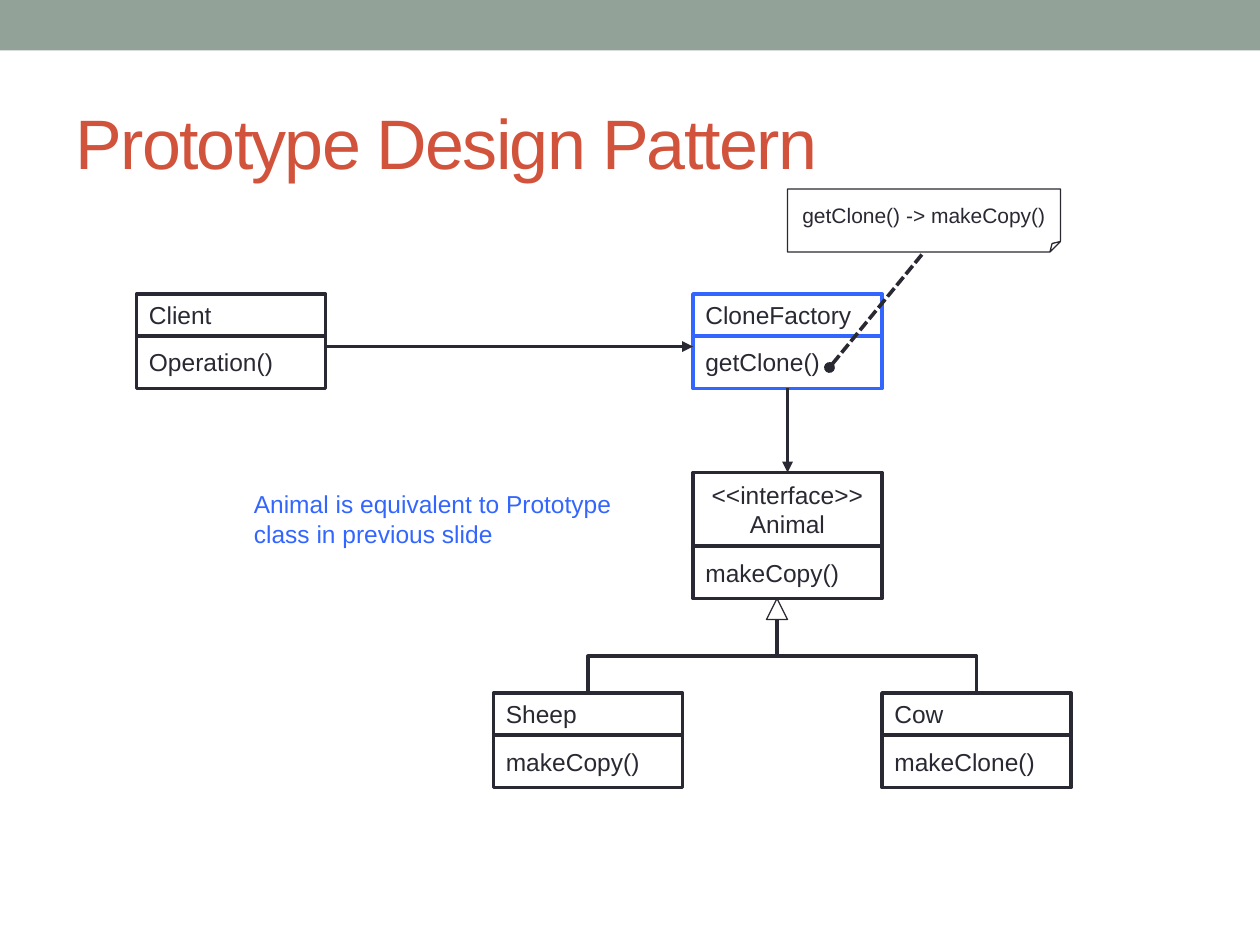
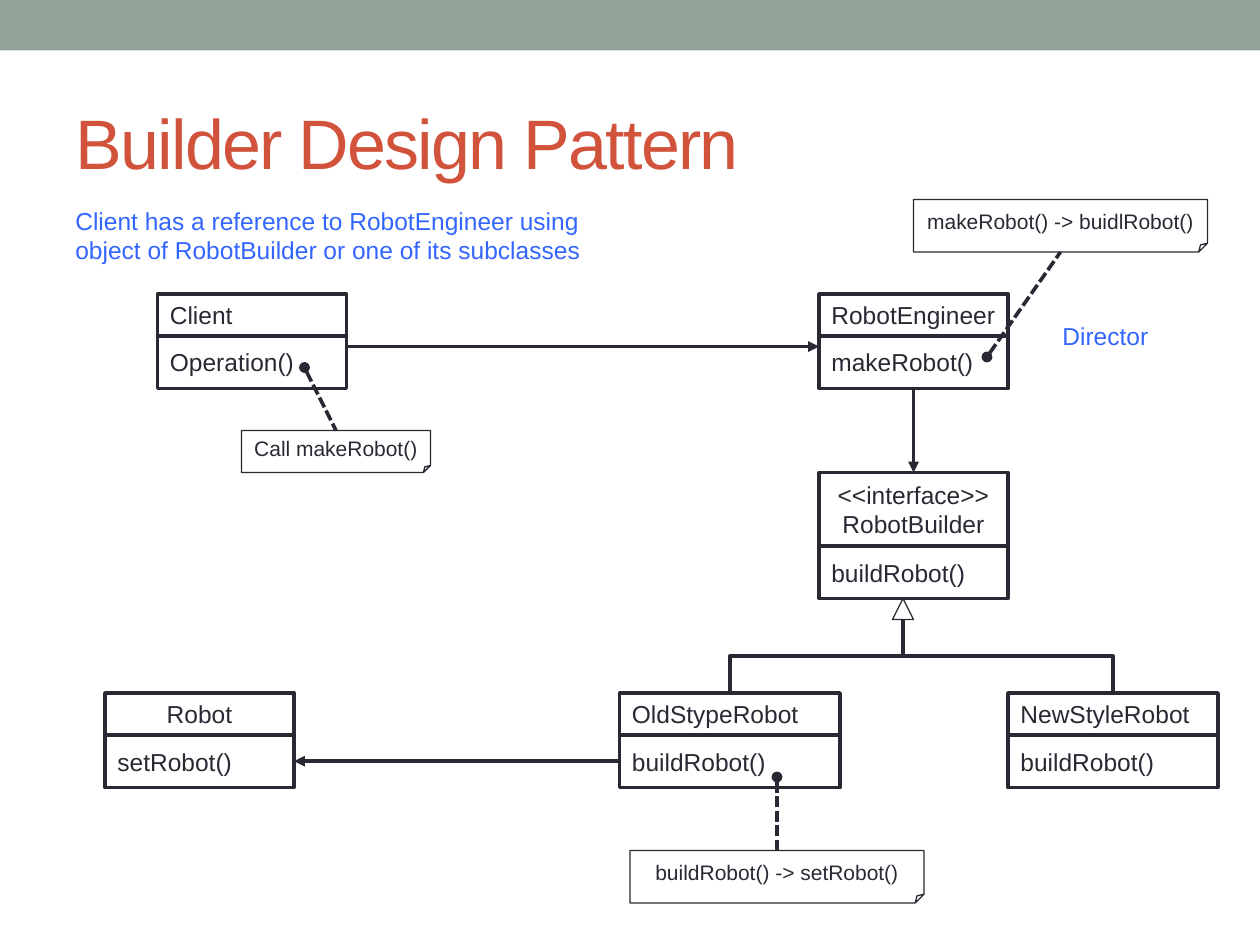
from dataclasses import dataclass
from typing import Optional

from lxml.etree import SubElement
from pptx import Presentation
from pptx.dml.color import RGBColor
from pptx.enum.dml import MSO_LINE
from pptx.enum.shapes import MSO_CONNECTOR, MSO_SHAPE
from pptx.enum.text import MSO_ANCHOR, MSO_AUTO_SIZE, PP_ALIGN
from pptx.oxml.ns import qn
from pptx.util import Inches, Pt

COLUMNS, ROWS = 120, 90
CELLS_PER_INCH = 12


@dataclass(frozen=True)
class Theme:
    font: str = "Arial"
    ink: str = "292934"
    accent: str = "3366FF"
    title: str = "D2533C"
    band: str = "93A299"
    paper: str = "FFFFFF"
    title_size: int = 40
    body_size: int = 14
    note_size: int = 12
    thick: float = 2.08
    thin: float = 0.75


THEME = Theme()


@dataclass(frozen=True)
class Area:
    """A rectangle in grid cells."""
    column: float
    row: float
    columns: float
    rows: float

    def lengths(self) -> list:
        return [cells(n) for n in (self.column, self.row, self.columns, self.rows)]


@dataclass(frozen=True)
class ClassBox:
    name: str
    method: str
    column: float
    row: float
    columns: float = 18
    name_rows: float = 4
    color: str = THEME.ink
    centred: bool = False


@dataclass(frozen=True)
class Link:
    start: tuple
    end: tuple


@dataclass(frozen=True)
class Inheritance:
    """A hollow arrowhead under a parent, with branches to its children."""
    column: float
    child_columns: tuple


@dataclass(frozen=True)
class Note:
    text: str
    area: Area
    pointer: Link


@dataclass(frozen=True)
class Remark:
    text: str
    area: Area


@dataclass(frozen=True)
class Diagram:
    title: str
    classes: list
    arrows: list
    inheritance: Inheritance
    notes: list
    remarks: list


BAND = Area(0, 0, COLUMNS, 4.8)
TITLE = Area(6, 7, 108, 13)
METHOD_ROWS = 5
TOP_ROW, INTERFACE_ROW, CHILD_ROW = 28, 45, 66
INTERFACE_NAME_ROWS = 7
TRIANGLE_SIZE = 2
TRIANGLE_ROW = INTERFACE_ROW + INTERFACE_NAME_ROWS + METHOD_ROWS

DIAGRAMS = [
    Diagram(
        "Prototype Design Pattern",
        [
            ClassBox("CloneFactory", "getClone()", 66, TOP_ROW, color=THEME.accent),
            ClassBox("<<interface>> Animal", "makeCopy()", 66, INTERFACE_ROW,
                     name_rows=INTERFACE_NAME_ROWS, centred=True),
            ClassBox("Sheep", "makeCopy()", 47, CHILD_ROW),
            ClassBox("Cow", "makeClone()", 84, CHILD_ROW),
            ClassBox("Client", "Operation()", 13, TOP_ROW),
        ],
        [Link((31, 33), (66, 33)), Link((75, 37), (75, 45))],
        Inheritance(74, (56, 93)),
        [Note("getClone() -> makeCopy()", Area(75, 18, 26, 6), Link((79, 35), (88, 24)))],
        [Remark("Animal is equivalent to Prototype class in previous slide",
                Area(23, 46, 42, 6.8))],
    ),
    Diagram(
        "Builder Design Pattern",
        [
            ClassBox("RobotEngineer", "makeRobot()", 78, TOP_ROW),
            ClassBox("<<interface>> RobotBuilder", "buildRobot()", 78, INTERFACE_ROW,
                     name_rows=INTERFACE_NAME_ROWS, centred=True),
            ClassBox("OldStypeRobot", "buildRobot()", 59, CHILD_ROW, columns=21),
            ClassBox("NewStyleRobot", "buildRobot()", 96, CHILD_ROW, columns=20),
            ClassBox("Client", "Operation()", 15, TOP_ROW),
            ClassBox("Robot", "setRobot()", 10, CHILD_ROW, centred=True),
        ],
        [Link((87, 37), (87, 45)), Link((33, 33), (78, 33)), Link((59, 72.5), (28, 72.5))],
        Inheritance(86, (69.5, 106)),
        [
            Note("makeRobot() -> buidlRobot()", Area(87, 19, 28, 5), Link((94, 34), (101, 24))),
            Note("buildRobot() -> setRobot()", Area(60, 81, 28, 5), Link((74, 74), (74, 81))),
            Note("Call makeRobot()", Area(23, 41, 18, 4), Link((29, 35), (32, 41))),
        ],
        [
            Remark("Client has a reference to RobotEngineer using object of "
                   "RobotBuilder or one of its subclasses", Area(6, 19, 55, 6.8)),
            Remark("Director", Area(100, 30, 12, 4)),
        ],
    ),
]


def cells(count: float) -> int:
    return Inches(count / CELLS_PER_INCH)


def write(shape, text: str, size: int, color: str, alignment=PP_ALIGN.LEFT,
          anchor=MSO_ANCHOR.MIDDLE):
    frame = shape.text_frame
    frame.word_wrap = True
    frame.vertical_anchor = anchor
    paragraph = frame.paragraphs[0]
    paragraph.alignment = alignment
    run = paragraph.add_run()
    run.text = text
    run.font.name = THEME.font
    run.font.size = Pt(size)
    run.font.color.rgb = RGBColor.from_string(color)
    return run


def add_block(slide, kind, area: Area, fill: Optional[str] = None,
              line: Optional[str] = None, weight: float = THEME.thin):
    shape = slide.shapes.add_shape(kind, *area.lengths())
    shape.shadow.inherit = False
    if fill:
        shape.fill.solid()
        shape.fill.fore_color.rgb = RGBColor.from_string(fill)
    else:
        shape.fill.background()
    if line:
        shape.line.color.rgb = RGBColor.from_string(line)
        shape.line.width = Pt(weight)
    else:
        shape.line.fill.background()
    return shape


def add_link(slide, link: Link, kind=MSO_CONNECTOR.STRAIGHT, dashed: bool = False,
             head: Optional[str] = None, tail: Optional[str] = None):
    points = [cells(n) for n in link.start + link.end]
    connector = slide.shapes.add_connector(kind, *points)
    connector.line.color.rgb = RGBColor.from_string(THEME.ink)
    connector.line.width = Pt(THEME.thick)
    if dashed:
        connector.line.dash_style = MSO_LINE.SQUARE_DOT
    properties = connector.element.spPr
    outline = properties.find(qn("a:ln"))
    for tag, ending in (("a:headEnd", head), ("a:tailEnd", tail)):
        if ending:
            SubElement(outline, qn(tag)).set("type", ending)
    SubElement(properties, qn("a:effectLst"))
    return connector


def add_branch(slide, start: tuple, end: tuple) -> None:
    """Draw an elbow that leaves downwards: a sideways elbow turned a quarter."""
    run, drop = end[0] - start[0], end[1] - start[1]
    middle_column, middle_row = (start[0] + end[0]) / 2, (start[1] + end[1]) / 2
    side = 1 if run > 0 else -1
    first = (middle_column + side * drop / 2, middle_row - abs(run) / 2)
    last = (middle_column - side * drop / 2, middle_row + abs(run) / 2)
    connector = add_link(slide, Link(first, last), MSO_CONNECTOR.ELBOW)
    quarter_turns = 3 if run > 0 else 1
    connector.element.spPr.find(qn("a:xfrm")).set("rot", str(quarter_turns * 90 * 60000))


def add_class(slide, box: ClassBox) -> None:
    parts = (
        (box.name, box.row, box.name_rows, box.centred),
        (box.method, box.row + box.name_rows, METHOD_ROWS, False),
    )
    for text, row, rows, centred in parts:
        shape = add_block(slide, MSO_SHAPE.RECTANGLE, Area(box.column, row, box.columns, rows),
                          THEME.paper, box.color, THEME.thick)
        write(shape, text, THEME.body_size, THEME.ink,
              PP_ALIGN.CENTER if centred else PP_ALIGN.LEFT)


def add_inheritance(slide, inheritance: Inheritance) -> None:
    area = Area(inheritance.column - TRIANGLE_SIZE / 2, TRIANGLE_ROW,
                TRIANGLE_SIZE, TRIANGLE_SIZE)
    add_block(slide, MSO_SHAPE.ISOSCELES_TRIANGLE, area, THEME.paper, THEME.ink)
    start = (inheritance.column, TRIANGLE_ROW + TRIANGLE_SIZE)
    for column in inheritance.child_columns:
        add_branch(slide, start, (column, CHILD_ROW))


def add_note(slide, note: Note) -> None:
    shape = add_block(slide, MSO_SHAPE.FOLDED_CORNER, note.area, line=THEME.ink)
    write(shape, note.text, THEME.note_size, THEME.ink, PP_ALIGN.CENTER)
    add_link(slide, note.pointer, dashed=True, head="oval")


def add_remark(slide, remark: Remark) -> None:
    box = slide.shapes.add_textbox(*remark.area.lengths())
    write(box, remark.text, THEME.body_size, THEME.accent, anchor=MSO_ANCHOR.TOP)
    box.text_frame.auto_size = MSO_AUTO_SIZE.SHAPE_TO_FIT_TEXT


def add_title(slide, text: str) -> None:
    title = slide.shapes.title
    title.left, title.top, title.width, title.height = TITLE.lengths()
    run = write(title, text, THEME.title_size, THEME.title)
    run.font._element.set("spc", "-100")
    title.text_frame.auto_size = MSO_AUTO_SIZE.NONE


def add_diagram(slide, diagram: Diagram) -> None:
    add_title(slide, diagram.title)
    for box in diagram.classes:
        add_class(slide, box)
    for arrow in diagram.arrows:
        add_link(slide, arrow, tail="triangle")
    add_inheritance(slide, diagram.inheritance)
    for note in diagram.notes:
        add_note(slide, note)
    for remark in diagram.remarks:
        add_remark(slide, remark)


def main() -> None:
    presentation = Presentation()
    presentation.slide_width, presentation.slide_height = cells(COLUMNS), cells(ROWS)
    layout = presentation.slide_layouts.get_by_name("Title Only")
    slides = [presentation.slides.add_slide(layout) for _ in DIAGRAMS]
    band = add_block(slides[0], MSO_SHAPE.RECTANGLE, BAND, THEME.band)
    layout.shapes.element.append(band.element)  # shared by every slide of the layout
    for slide, diagram in zip(slides, DIAGRAMS):
        add_diagram(slide, diagram)
    presentation.save("out.pptx")


if __name__ == "__main__":
    main()
